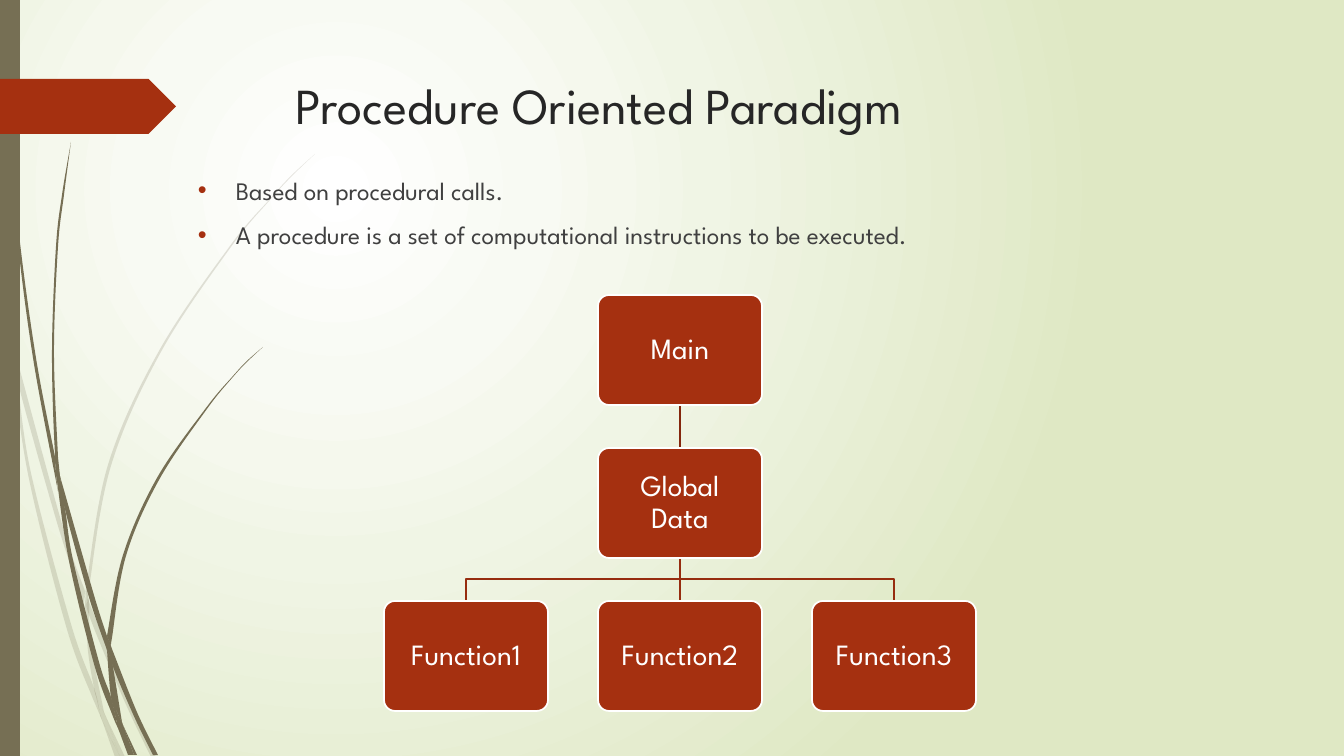
from dataclasses import dataclass
from typing import Any

from lxml import etree
from pptx import Presentation
from pptx.dml.color import RGBColor
from pptx.enum.shapes import MSO_CONNECTOR, MSO_SHAPE
from pptx.enum.text import MSO_ANCHOR, PP_ALIGN
from pptx.oxml.ns import qn
from pptx.util import Pt

RECT, ROUNDED, TAG = MSO_SHAPE.RECTANGLE, MSO_SHAPE.ROUNDED_RECTANGLE, MSO_SHAPE.PENTAGON
STRAIGHT = MSO_CONNECTOR.STRAIGHT
CENTER, MIDDLE = PP_ALIGN.CENTER, MSO_ANCHOR.MIDDLE

WIDTH, HEIGHT = 1344, 756
SCALE = 12192000 / WIDTH
FONT = "League Spartan"
COLORS = {
    "olive": "766F54", "rust": "A53010", "trunk": "84260D", "branch": "962C0F",
    "white": "FFFFFF", "title": "262626", "body": "404040",
}
BACKGROUND = [(0, "FFFFFF"), (26, "F8FAF3"), (36, "F5F8ED"), (48, "F0F5E5"), (100, "DFE8C4")]

NODE_W, NODE_H = 164, 110
NODE_LEFT, NODE_TOP = 384, 295
COLUMN_STEP, ROW_STEP = 214, 153
Points = list[tuple[int, int]]


@dataclass
class Blade:
    """A piece of grass: one edge running down, the other running back up."""
    down: Points
    up: Points


@dataclass
class Node:
    text: str
    column: int
    row: int

    @property
    def left(self) -> int:
        return NODE_LEFT + self.column * COLUMN_STEP

    @property
    def top(self) -> int:
        return NODE_TOP + self.row * ROW_STEP

    @property
    def center(self) -> int:
        return self.left + NODE_W // 2


PALE_GRASS = [
    Blade([(0, 284), (9, 325), (11, 353)], [(10, 347), (0, 301)]),
    Blade([(14, 348), (62, 524), (85, 591)], [(84, 604), (58, 526), (17, 379)]),
    Blade([(89, 601), (93, 612), (128, 698), (156, 757)], [(151, 757), (124, 700), (89, 615)]),
    Blade([(106, 717), (125, 757)], [(120, 757)]),
    Blade([(11, 353), (17, 379), (31, 473), (71, 624), (94, 688), (100, 713), (102, 720)],
          [(93, 699), (66, 626), (28, 474)]),
    Blade([(85, 604), (88, 651), (94, 688), (97, 698), (106, 717)],
          [(104, 712), (92, 651), (89, 615), (89, 613)]),
    Blade([(315, 154), (291, 176), (270, 199), (230, 246), (159, 351), (108, 465), (86, 589),
           (86, 591)],
          [(89, 601), (89, 589), (111, 466), (161, 352), (231, 247), (270, 200), (292, 176)]),
    Blade([(102, 720), (115, 757)], [(120, 757)]),
    Blade([(86, 591), (85, 604)], [(89, 613), (89, 615), (89, 601)]),
    Blade([(94, 688), (100, 713), (102, 720), (120, 757)], [(106, 717), (97, 698)]),
]
DARK_GRASS = [
    Blade([(3, 0), (4, 48), (7, 111), (17, 235), (33, 358), (56, 481), (57, 485)],
          [(55, 461), (55, 457), (36, 358), (19, 234), (8, 110), (5, 48), (4, 0)]),
    Blade([(60, 476), (65, 509), (89, 597), (107, 650)], [(107, 638), (107, 636), (94, 595)]),
    Blade([(111, 646), (111, 661), (133, 714), (153, 755)], [(158, 755), (137, 712), (114, 654)]),
    Blade([(57, 481), (69, 561), (94, 664), (112, 714), (118, 728)],
          [(117, 723), (111, 697), (99, 662), (73, 560), (65, 509)]),
    Blade([(71, 142), (62, 195), (56, 247), (52, 352), (55, 453), (60, 476)],
          [(58, 457), (54, 352), (58, 247), (64, 195)]),
    Blade([(123, 725), (134, 755)], [(137, 755)]),
    Blade([(55, 453), (55, 457), (57, 481), (65, 509)], [(60, 476)]),
    Blade([(263, 347), (247, 361), (233, 376), (206, 408), (157, 478), (123, 555), (107, 636)],
          [(111, 646), (112, 638), (126, 556), (159, 480), (207, 409), (233, 377), (247, 362)]),
    Blade([(118, 728), (128, 755)], [(132, 755)]),
    Blade([(107, 650), (111, 697), (117, 712), (123, 725)], [(122, 722), (112, 661), (110, 656)]),
    Blade([(107, 636), (107, 650)], [(110, 656), (112, 661), (111, 646)]),
    Blade([(111, 697), (117, 723), (118, 728), (131, 755)], [(134, 755), (123, 725), (117, 712)]),
]

MAIN = Node("Main", 1, 0)
DATA = Node("Global Data", 1, 1)
FUNCTIONS = [Node(f"Function{i + 1}", i, 2) for i in range(3)]
BULLETS = [
    "Based on procedural calls.",
    "A procedure is a set of computational instructions to be executed.",
]


def px(value: float) -> int:
    return round(value * SCALE)


def rgb(name: str) -> RGBColor:
    return RGBColor.from_string(COLORS[name])


def paint_background(s: Any) -> None:
    s.background.fill.gradient()
    grad = next(s.element.iter(qn("a:gradFill")))
    for child in list(grad):
        grad.remove(child)
    stops = etree.SubElement(grad, qn("a:gsLst"))
    for position, color in BACKGROUND:
        stop = etree.SubElement(stops, qn("a:gs"), pos=str(position * 1000))
        etree.SubElement(stop, qn("a:srgbClr"), val=color)
    circle = etree.SubElement(grad, qn("a:path"), path="circle")
    etree.SubElement(circle, qn("a:fillToRect"), l="50000", t="50000", r="100000", b="100000")


def fill_plain(shape: Any, color: str) -> None:
    shape.shadow.inherit = False
    shape.fill.solid()
    shape.fill.fore_color.rgb = rgb(color)
    shape.line.fill.background()


def add_box(s: Any, kind: Any, left: int, top: int, width: int, height: int, color: str) -> Any:
    shape = s.shapes.add_shape(kind, px(left), px(top), px(width), px(height))
    fill_plain(shape, color)
    return shape


def add_outline(s: Any, points: Points, close: bool) -> Any:
    corners = [(px(x), px(y)) for x, y in points]
    builder = s.shapes.build_freeform(*corners[0])
    builder.add_line_segments(corners[1:], close=close)
    shape = builder.convert_to_shape()
    shape.shadow.inherit = False
    return shape


def bend_edges(shape: Any, corner: int) -> None:
    """Turn the straight segments into curves, keeping a sharp corner after that index."""
    lines = list(shape.element.iter(qn("a:lnTo")))
    nodes = [(int(pt.get("x")), int(pt.get("y"))) for pt in shape.element.iter(qn("a:pt"))]
    for i, line in enumerate(lines):
        if i == corner:
            continue
        first, last = (0, corner) if i < corner else (corner + 1, len(nodes) - 1)
        a, b, c, d = (nodes[min(max(k, first), last)] for k in range(i - 1, i + 3))
        curve = etree.Element(qn("a:cubicBezTo"))
        for x, y in [[q + (r - p) // 6 for p, q, r in zip(a, b, c)],
                     [q - (r - p) // 6 for p, q, r in zip(b, c, d)], c]:
            etree.SubElement(curve, qn("a:pt"), x=str(x), y=str(y))
        line.getparent().replace(line, curve)


def add_blade(s: Any, blade: Blade, alpha: int) -> None:
    shape = add_outline(s, blade.down + blade.up + blade.down[:1], True)
    bend_edges(shape, len(blade.down) - 1)
    fill_plain(shape, "olive")
    if alpha < 100:
        color = next(shape.element.spPr.iter(qn("a:srgbClr")))
        etree.SubElement(color, qn("a:alpha"), val=str(alpha * 1000))


def add_link(s: Any, parent: Node, child: Node, color: str) -> None:
    start, end = parent.top + NODE_H, child.top
    if parent.column == child.column:
        link = s.shapes.add_connector(
            STRAIGHT, px(parent.center), px(start), px(child.center), px(end))
        etree.SubElement(link.element.spPr, qn("a:effectLst"))
    else:
        bend = (start + end) // 2
        link = add_outline(s, [(parent.center, start), (parent.center, bend),
                               (child.center, bend), (child.center, end)], False)
        link.fill.background()
    link.line.color.rgb = rgb(color)
    link.line.width = Pt(1.25)


def style(p: Any, size: int, color: str) -> None:
    for r in p.runs:
        r.font.name, r.font.size = FONT, Pt(size)
        r.font.color.rgb = rgb(color)


def add_node(s: Any, node: Node) -> None:
    shape = add_box(s, ROUNDED, node.left, node.top, NODE_W, NODE_H, "rust")
    shape.adjustments[0] = 0.1
    shape.line.color.rgb = rgb("white")
    shape.line.width = Pt(1.25)
    tf = shape.text_frame
    tf.word_wrap, tf.vertical_anchor = True, MIDDLE
    tf.margin_left = tf.margin_right = tf.margin_top = tf.margin_bottom = px(12)
    tf.text = node.text
    p = tf.paragraphs[0]
    p.alignment, p.line_spacing = CENTER, 0.9
    style(p, 21, "white")


def add_text(s: Any, left: int, top: int, width: int, height: int, lines: list[str],
             size: int, color: str) -> Any:
    tf = s.shapes.add_textbox(px(left), px(top), px(width), px(height)).text_frame
    tf.word_wrap = True
    tf.text = "\n".join(lines)
    for p in tf.paragraphs:
        style(p, size, color)
    return tf


def add_bullet(p: Any) -> None:
    p.space_before = Pt(10)
    pPr = p._p.get_or_add_pPr()
    pPr.set("marL", str(px(38)))
    pPr.set("indent", str(-px(38)))
    color = etree.SubElement(pPr, qn("a:buClr"))
    etree.SubElement(color, qn("a:srgbClr"), val=COLORS["rust"])
    etree.SubElement(pPr, qn("a:buFont"), typeface="Arial")
    etree.SubElement(pPr, qn("a:buChar"), char="•")


def main() -> None:
    prs = Presentation()
    prs.slide_width, prs.slide_height = px(WIDTH), px(HEIGHT)
    s = prs.slides.add_slide(prs.slide_layouts[6])
    paint_background(s)
    for grass, alpha in [(PALE_GRASS, 20), (DARK_GRASS, 100)]:
        for blade in grass:
            add_blade(s, blade, alpha)
    add_box(s, RECT, 0, 0, 20, HEIGHT, "olive")
    add_box(s, TAG, 0, 79, 176, 55, "rust")
    add_text(s, 286, 69, 983, 141, ["Procedure Oriented Paradigm"], 36, "title")
    add_link(s, MAIN, DATA, "trunk")
    for function in FUNCTIONS:
        add_link(s, DATA, function, "branch")
    for node in [MAIN, DATA, *FUNCTIONS]:
        add_node(s, node)
    for p in add_text(s, 188, 170, 983, 416, BULLETS, 18, "body").paragraphs:
        add_bullet(p)
    prs.save("out.pptx")


if __name__ == "__main__":
    main()
